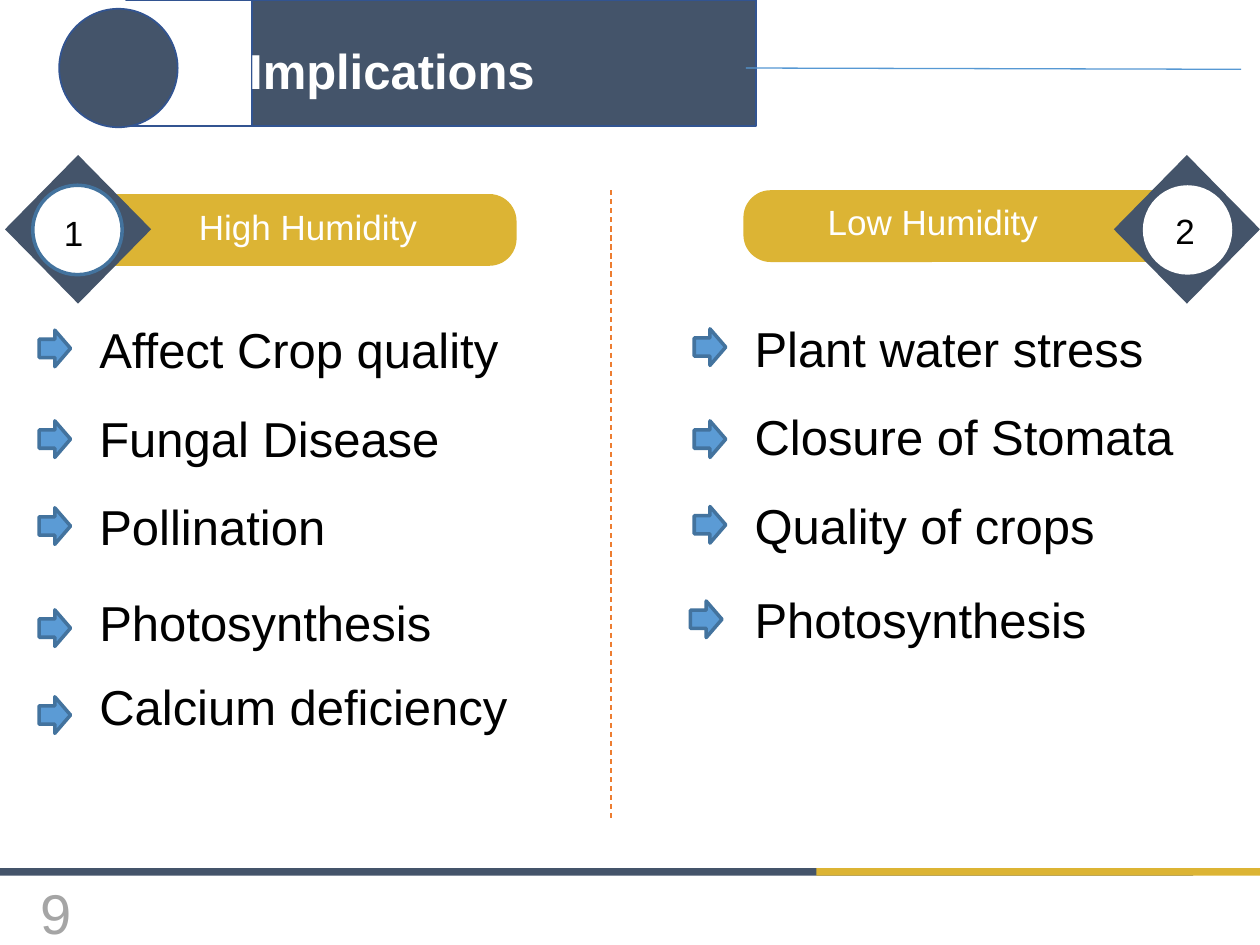
import math
from dataclasses import dataclass

from lxml import etree
from pptx import Presentation
from pptx import util as u
from pptx.dml.color import RGBColor
from pptx.enum import dml, shapes, text
from pptx.oxml.ns import qn

NAVY, GOLD, WHITE, BLACK = "44546A", "DCB434", "FFFFFF", "000000"
TITLE_EDGE, BLUE, BLUE_EDGE = "325491", "5B9BD5", "43739E"
SHAPE = shapes.MSO_SHAPE
ARROW_W, ARROW_H = 0.25, 0.29


@dataclass
class Item:
    label: str
    text_y: float
    arrow_x: float
    arrow_y: float
    width: float = 3.49


@dataclass
class Column:
    number: str
    number_xy: tuple[float, float]
    heading: str
    heading_xy: tuple[float, float]
    banner_xy: tuple[float, float]
    diamond_x: float
    circle_x: float
    circle_edge: str | None
    text_x: float
    items: list[Item]


COLUMNS = [
    Column("1", (0.41, 1.63), "High Humidity", (1.48, 1.58), (0.61, 1.54),
           0.04, 0.26, BLUE_EDGE, 0.69, [
               Item("Affect Crop quality", 2.49, 0.31, 2.62),
               Item("Fungal Disease", 3.19, 0.31, 3.34),
               Item("Pollination", 3.89, 0.31, 4.03),
               Item("Photosynthesis", 4.65, 0.31, 4.84),
               Item("Calcium deficiency", 5.32, 0.31, 5.53)]),
    Column("2", (9.23, 1.61), "Low Humidity", (6.47, 1.54), (5.9, 1.51),
           8.84, 9.07, None, 5.89, [
               Item("Plant water stress", 2.48, 5.51, 2.61),
               Item("Closure of Stomata", 3.18, 5.51, 3.34, 3.95),
               Item("Quality of crops", 3.88, 5.51, 4.02),
               Item("Photosynthesis", 4.63, 5.48, 4.77)]),
]


def rgb(value: str) -> RGBColor:
    return RGBColor.from_string(value)


def paint(sp, fill: str, edge: str | None = None, weight: float = 1) -> None:
    sp.shadow.inherit = False
    sp.fill.solid()
    sp.fill.fore_color.rgb = rgb(fill)
    if edge:
        sp.line.color.rgb = rgb(edge)
        sp.line.width = u.Pt(weight)
    else:
        sp.line.fill.background()


def add_shape(s, kind, x: float, y: float, w: float, h: float, fill: str,
              edge: str | None = None, weight: float = 1):
    sp = s.shapes.add_shape(kind, *map(u.Inches, (x, y, w, h)))
    paint(sp, fill, edge, weight)
    return sp


def add_text(s, label: str, x: float, y: float, w: float, h: float,
             size: float, color: str, bold: bool = False):
    sp = s.shapes.add_textbox(*map(u.Inches, (x, y, w, h)))
    tf = sp.text_frame
    tf.text = label
    tf.word_wrap = True
    tf.auto_size = text.MSO_AUTO_SIZE.SHAPE_TO_FIT_TEXT
    font = tf.paragraphs[0].runs[0].font
    font.name, font.size, font.bold = "Arial", u.Pt(size), bold
    font.color.rgb = rgb(color)
    return tf


def add_line(s, x1: float, y1: float, x2: float, y2: float, color: str):
    line = s.shapes.add_connector(shapes.MSO_CONNECTOR.STRAIGHT,
                                  *map(u.Inches, (x1, y1, x2, y2)))
    line.line.color.rgb = rgb(color)
    line.line.width = u.Pt(0.75)
    etree.SubElement(line._element.spPr, qn("a:effectLst"))
    return line


def arc(cx: float, cy: float, radius: float, start: float, end: float,
        steps: int = 32) -> list[tuple[float, float]]:
    """Points along a circle between two angles in degrees."""
    angles = [math.radians(start + (end - start) * i / steps) for i in range(steps + 1)]
    return [(cx + radius * math.cos(a), cy + radius * math.sin(a)) for a in angles]


def add_title(s) -> None:
    middle, half = 0.545, 0.285
    notch_r = 0.61
    notch = math.degrees(math.asin(half / notch_r))
    points = (arc(5.63, middle, half, -90, 90)
              + arc(0.93, middle, notch_r, notch, -notch))
    builder = s.shapes.build_freeform(*points[0], scale=u.Inches(1))
    builder.add_line_segments(points[1:], close=True)
    paint(builder.convert_to_shape(), NAVY, TITLE_EDGE)
    add_shape(s, SHAPE.OVAL, 0.47, 0.07, 0.94, 0.94, NAVY, TITLE_EDGE)
    add_text(s, "Implications", 1.88, 0.27, 3.86, 0.57, 28, WHITE, True)
    add_line(s, 5.92, 0.54, 9.85, 0.55, "5698D3")


def add_footer(s) -> None:
    add_shape(s, SHAPE.RECTANGLE, 0, 6.89, 9.47, 0.06, NAVY)
    add_shape(s, SHAPE.RECTANGLE, 6.48, 6.89, 3.52, 0.06, GOLD)
    tf = add_text(s, "9", 0.22, 7.04, 0.4, 0.4, 32, "A5A5A5")
    tf.auto_size = text.MSO_AUTO_SIZE.NONE
    tf.vertical_anchor = text.MSO_ANCHOR.MIDDLE
    tf.margin_right = u.Inches(0.05)
    tf.paragraphs[0].alignment = text.PP_ALIGN.RIGHT


def add_column(s, col: Column) -> None:
    banner = add_shape(s, SHAPE.ROUNDED_RECTANGLE, *col.banner_xy, 3.49, 0.57, GOLD)
    banner.adjustments[0] = 0.38
    add_shape(s, SHAPE.DIAMOND, col.diamond_x, 1.23, 1.16, 1.18, NAVY)
    add_shape(s, SHAPE.OVAL, col.circle_x, 1.47, 0.71, 0.71, WHITE, col.circle_edge, 2)
    add_text(s, col.number, *col.number_xy, 0.56, 0.44, 20, BLACK)
    add_text(s, col.heading, *col.heading_xy, 2.33, 0.44, 20, WHITE)
    for item in col.items:
        add_text(s, item.label, col.text_x, item.text_y, item.width, 0.57, 28, BLACK)
        add_shape(s, SHAPE.RIGHT_ARROW, item.arrow_x, item.arrow_y,
                  ARROW_W, ARROW_H, BLUE, BLUE_EDGE, 2)


def main() -> None:
    prs = Presentation()
    prs.slide_width, prs.slide_height = u.Inches(10), u.Inches(7.5)
    s = prs.slides.add_slide(prs.slide_layouts[6])
    add_footer(s)
    add_title(s)
    divider = add_line(s, 4.85, 1.51, 4.85, 6.52, "ED7D31")
    divider.line.dash_style = dml.MSO_LINE.DASH
    for col in COLUMNS:
        add_column(s, col)
    prs.save("out.pptx")


if __name__ == "__main__":
    main()
